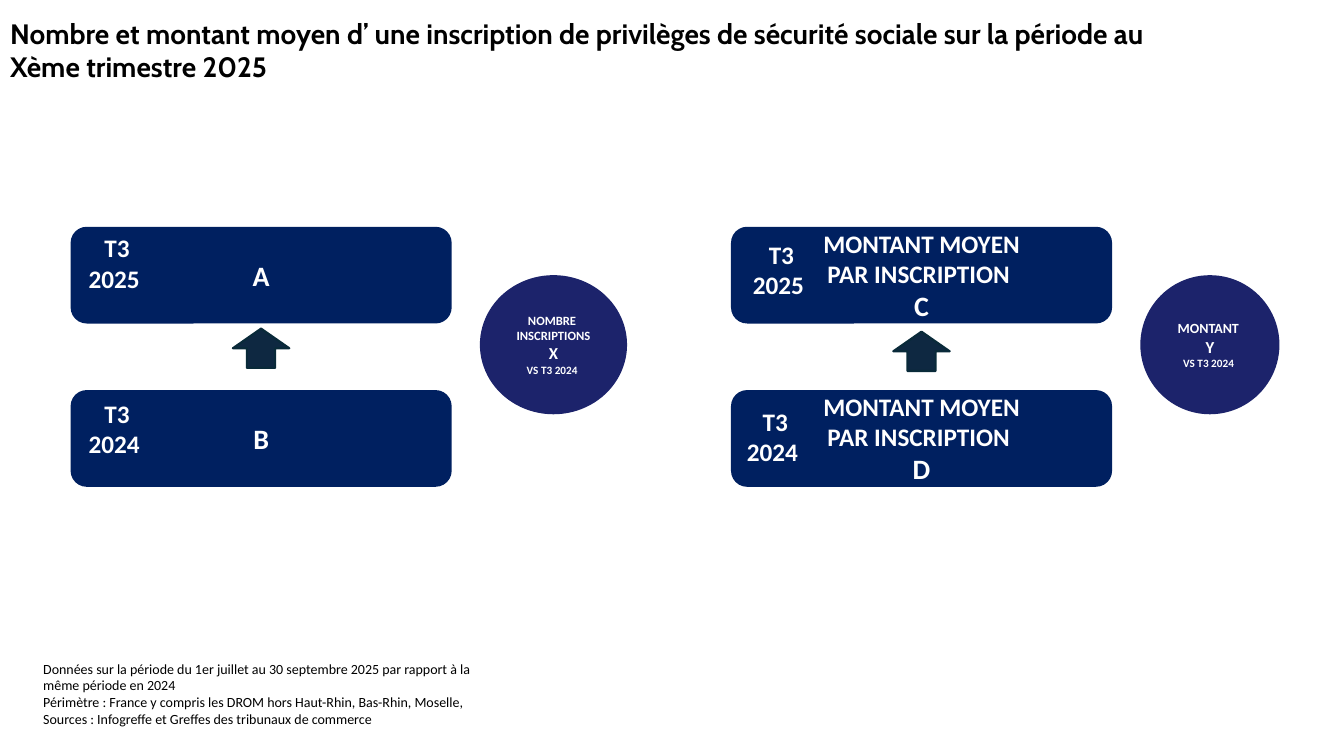
from pptx import Presentation
from pptx.dml.color import RGBColor
from pptx.enum import shapes, text
from pptx.util import Inches, Pt

NAVY = "002060"
INDIGO = "1C236B"
WHITE = "FFFFFF"
BLACK = "000000"
SHAPE = shapes.MSO_SHAPE
ALIGN = text.PP_ALIGN
ANCHOR = text.MSO_ANCHOR


def color(hex_value):
    return RGBColor.from_string(hex_value)


def write(shape, lines, *, font="Calibri", fill=WHITE, bold=True,
          align=ALIGN.CENTER, anchor=ANCHOR.MIDDLE):
    """Fill a shape with one paragraph per (wording, size) pair."""
    frame = shape.text_frame
    frame.word_wrap = True
    frame.auto_size = text.MSO_AUTO_SIZE.NONE
    frame.vertical_anchor = anchor
    for index, (wording, size) in enumerate(lines):
        paragraph = frame.add_paragraph() if index else frame.paragraphs[0]
        paragraph.alignment = align
        run = paragraph.add_run()
        run.text = wording
        run.font.name = font
        run.font.size = Pt(size)
        run.font.bold = bold
        run.font.color.rgb = color(fill)


def add_title(slide, wording):
    title = slide.shapes.title
    title.left, title.top = Inches(0), Inches(0.11)
    title.width, title.height = Inches(11.86), Inches(0.77)
    write(title, [(wording, 20)], font="Cabin", fill=BLACK, align=ALIGN.LEFT)


def add_text(slide, left, top, width, height, lines, **style):
    box = slide.shapes.add_textbox(
        Inches(left), Inches(top), Inches(width), Inches(height))
    write(box, lines, anchor=ANCHOR.TOP, **style)


def add_shape(slide, preset, left, top, width, height, fill, lines=(), outline=None):
    shape = slide.shapes.add_shape(
        preset, Inches(left), Inches(top), Inches(width), Inches(height))
    shape.shadow.inherit = False
    shape.fill.solid()
    shape.fill.fore_color.rgb = color(fill)
    if outline:
        shape.line.color.rgb = color(outline)
        shape.line.width = Pt(1.5)
    else:
        shape.line.fill.background()
    write(shape, lines)


def add_card(slide, left, top, lines):
    add_shape(slide, SHAPE.ROUNDED_RECTANGLE, left, top, 3.78, 0.96, NAVY, lines)


def add_quarter(slide, left, top, year):
    add_text(slide, left, top, 0.88, 0.71, [("T3", 18), (f"{year} ", 18)])


def add_arrow(slide, left, top):
    add_shape(slide, SHAPE.UP_ARROW, left, top, 0.56, 0.39, "0E2841", outline="092A39")


def add_badge(slide, left, width, lines):
    add_shape(slide, SHAPE.OVAL, left, 2.73, width, 1.38, INDIGO,
              [*lines, ("VS T3 2024 ", 8)])


def main():
    presentation = Presentation()
    presentation.slide_width = Inches(13.33)
    presentation.slide_height = Inches(7.5)
    slide = presentation.slides.add_slide(presentation.slide_layouts[5])

    add_title(slide, "Nombre et montant moyen d’ une inscription de privilèges de "
                     "sécurité sociale sur la période au Xème trimestre 2025")

    add_badge(slide, 11.31, 1.38, [("MONTANT ", 10), ("Y", 12)])
    add_badge(slide, 4.76, 1.46, [("NOMBRE ", 9), ("INSCRIPTIONS", 9), ("X", 12)])

    average = [("MONTANT MOYEN", 18), ("PAR INSCRIPTION ", 18)]
    for top, count, amount in ((2.25, "A", "C"), (3.87, "B", "D")):
        add_card(slide, 0.7, top, [(count, 20)])
        add_card(slide, 7.25, top, [*average, (amount, 20)])

    for left, top, year in ((0.72, 2.26, 2025), (0.72, 3.9, 2024),
                            (7.31, 2.32, 2025), (7.25, 3.98, 2024)):
        add_quarter(slide, left, top, year)

    add_arrow(slide, 2.31, 3.26)
    add_arrow(slide, 8.86, 3.29)

    notes = (
        "Données sur la période du 1er juillet au 30 septembre 2025 "
        "par rapport à la même période en 2024",
        "Périmètre : France y compris les DROM hors Haut-Rhin, Bas-Rhin, Moselle,",
        "Sources : Infogreffe et Greffes des tribunaux de commerce",
    )
    add_text(slide, 0.33, 6.5, 4.71, 0.77, [(note, 10) for note in notes],
             fill=BLACK, bold=False, align=ALIGN.LEFT)

    presentation.save("out.pptx")


if __name__ == "__main__":
    main()
